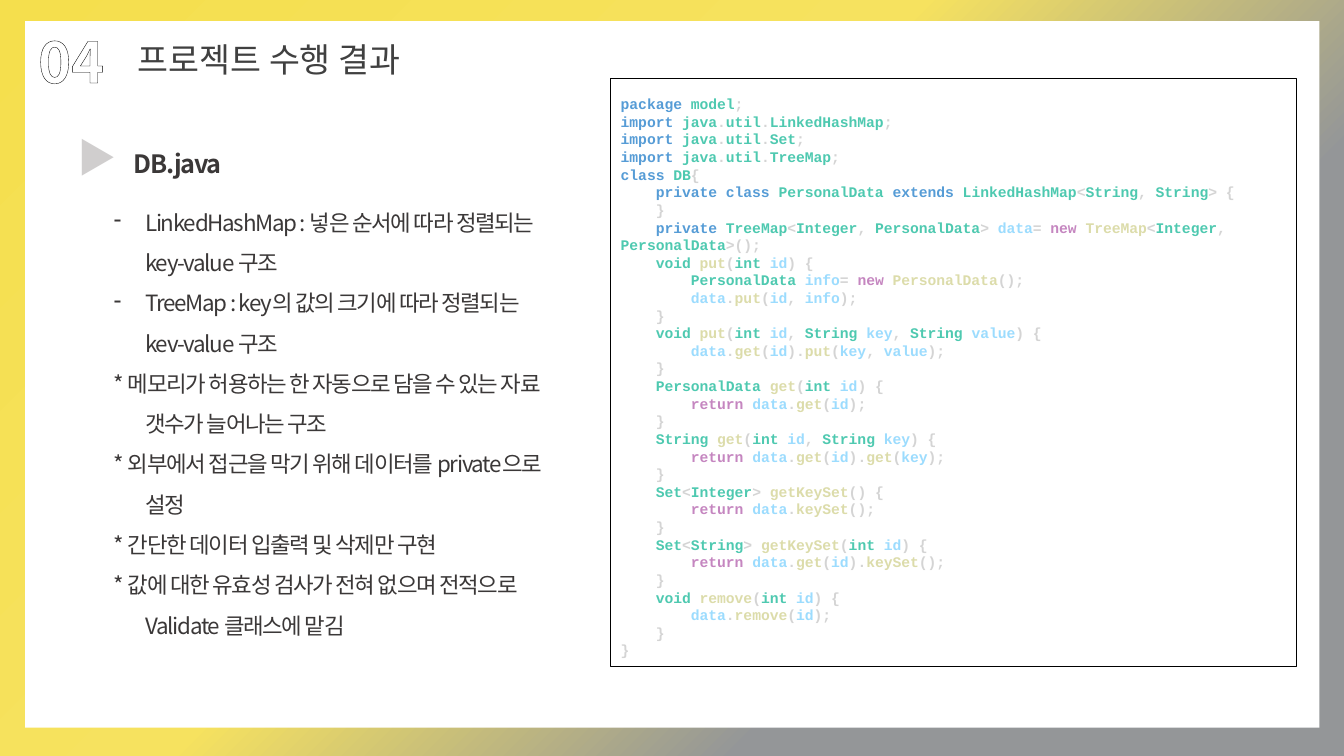
from dataclasses import dataclass
from itertools import groupby

from lxml import etree
from pptx import Presentation
from pptx.dml.color import RGBColor
from pptx.enum.dml import MSO_PATTERN
from pptx.enum.shapes import MSO_SHAPE
from pptx.enum.text import MSO_ANCHOR, PP_ALIGN
from pptx.oxml.ns import qn
from pptx.util import Pt

RECTANGLE = MSO_SHAPE.RECTANGLE
MIDDLE = MSO_ANCHOR.MIDDLE
LEFT = PP_ALIGN.LEFT
DIAGONAL = MSO_PATTERN.DARK_UPWARD_DIAGONAL

WHITE = RGBColor(0xFF, 0xFF, 0xFF)
BLACK = RGBColor(0x00, 0x00, 0x00)
DARK = RGBColor(0x3B, 0x38, 0x38)
TITLE_GRAY = RGBColor(0x40, 0x40, 0x40)
STEEL = RGBColor(0x93, 0x95, 0x97)
SILVER = RGBColor(0xD0, 0xCE, 0xCE)
CODE_PLAIN = RGBColor(0xD4, 0xD4, 0xD4)
CODE_KEYWORD = RGBColor(0x56, 0x9C, 0xD6)
CODE_TYPE = RGBColor(0x4E, 0xC9, 0xB0)
CODE_FLOW = RGBColor(0xC5, 0x86, 0xC0)
CODE_METHOD = RGBColor(0xDC, 0xDC, 0xAA)
CODE_VARIABLE = RGBColor(0x9C, 0xDC, 0xFE)
BACKGROUND_STOPS = (
    (0, RGBColor(0xF5, 0xDF, 0x4D)),
    (44, RGBColor(0xF6, 0xE2, 0x5F)),
    (71, RGBColor(0x94, 0x96, 0x98)),
    (100, STEEL),
)

KOREAN_FONT = "Noto Sans CJK KR"
CODE_FONT = "Courier New"
HANGING = Pt(22.5)

WORD_COLORS = {
    **dict.fromkeys("package import private class extends".split(), CODE_KEYWORD),
    **dict.fromkeys("new return".split(), CODE_FLOW),
    **dict.fromkeys("put get keySet getKeySet remove".split(), CODE_METHOD),
    **dict.fromkeys("data id info key value".split(), CODE_VARIABLE),
}

HEADER = (
    "package model;",
    "import java.util.LinkedHashMap;",
    "import java.util.Set;",
    "import java.util.TreeMap;",
    "class DB{",
    "    private class PersonalData extends LinkedHashMap<String, String> {",
    "    }",
    "    private TreeMap<Integer, PersonalData> data= new TreeMap<Integer, PersonalData>();",
)
METHODS = (
    ("void put(int id)", "PersonalData info= new PersonalData();", "data.put(id, info);"),
    ("void put(int id, String key, String value)", "data.get(id).put(key, value);"),
    ("PersonalData get(int id)", "return data.get(id);"),
    ("String get(int id, String key)", "return data.get(id).get(key);"),
    ("Set<Integer> getKeySet()", "return data.keySet();"),
    ("Set<String> getKeySet(int id)", "return data.get(id).keySet();"),
    ("void remove(int id)", "data.remove(id);"),
)


@dataclass
class Label:
    left: float
    top: float
    width: float
    height: float
    lines: tuple[str, ...]
    size: float
    color: RGBColor
    bold: bool = False
    wrap: bool = True
    spacing: int = 0
    line_spacing: float = 1.0
    hanging: bool = False
    dashes: int = 0
    pattern_back: RGBColor | None = None
    outline: RGBColor | None = None
    outline_width: float = 1


NOTES = (
    "LinkedHashMap : 넣은 순서에 따라 정렬되는 key-value 구조",
    "TreeMap : key의 값의 크기에 따라 정렬되는 kev-value 구조",
    "* 메모리가 허용하는 한 자동으로 담을 수 있는 자료 갯수가 늘어나는 구조",
    "* 외부에서 접근을 막기 위해 데이터를 private으로 설정",
    "* 간단한 데이터 입출력 및 삭제만 구현",
    "* 값에 대한 유효성 검사가 전혀 없으며 전적으로 Validate 클래스에 맡김",
)

LABELS = (
    Label(88.5, 102.2, 584, 87, ("DB.java",), 18, DARK, bold=True, spacing=-90),
    Label(48.2, 91.4, 39.6, 41, ("▶",), 28, STEEL, bold=True,
          pattern_back=SILVER, outline=STEEL),
    Label(20.2, 15.8, 91.4, 56.2, ("04",), 40, DARK, bold=True,
          pattern_back=WHITE, outline=BLACK, outline_width=1.25),
    Label(91.4, 24.5, 232.6, 36.7, ("프로젝트 수행 결과",), 24, TITLE_GRAY, wrap=False),
    Label(74.2, 136.1, 329, 326.9, NOTES, 16, DARK, spacing=-90,
          line_spacing=1.5, hanging=True, dashes=2),
)


def add_color(parent, color: RGBColor) -> None:
    etree.SubElement(parent, qn("a:srgbClr"), val=str(color))


def paint_background(page) -> None:
    fill = page.background.fill
    fill.gradient()
    fill.gradient_angle = 315
    stops = page.element.find(".//" + qn("a:gsLst"))
    for stop in list(stops):
        stops.remove(stop)
    for percent, color in BACKGROUND_STOPS:
        add_color(etree.SubElement(stops, qn("a:gs"), pos=str(percent * 1000)), color)


def hang(para) -> None:
    properties = para._p.get_or_add_pPr()
    properties.set("marL", str(HANGING))
    properties.set("indent", str(-HANGING))


def style_span(span, label: Label) -> None:
    font = span.font
    font.size, font.bold, font.name = Pt(label.size), label.bold, KOREAN_FONT
    if label.pattern_back is None:
        font.fill.solid()
        font.fill.fore_color.rgb = label.color
    else:
        font.fill.patterned()
        font.fill.pattern = DIAGONAL
        font.fill.fore_color.rgb = label.color
        font.fill.back_color.rgb = label.pattern_back
    properties = span._r.get_or_add_rPr()
    if label.spacing:
        properties.set("spc", str(label.spacing))
    latin = properties.find(qn("a:latin"))
    latin.addnext(etree.Element(qn("a:ea"), typeface=KOREAN_FONT))
    if label.outline is not None:
        line = etree.Element(qn("a:ln"), w=str(Pt(label.outline_width)))
        add_color(etree.SubElement(line, qn("a:solidFill")), label.outline)
        properties.insert(0, line)


def draw_label(page, label: Label) -> None:
    box = page.shapes.add_textbox(
        Pt(label.left), Pt(label.top), Pt(label.width), Pt(label.height))
    frame = box.text_frame
    frame.word_wrap = label.wrap
    frame.text = "\n".join(label.lines)
    for index, para in enumerate(frame.paragraphs):
        para.line_spacing = label.line_spacing
        if label.hanging:
            hang(para)
        if index < label.dashes:
            etree.SubElement(para._p.get_or_add_pPr(), qn("a:buChar"), char="-")
        style_span(para.runs[0], label)


def add_rectangle(page, left: float, top: float, width: float, height: float):
    box = page.shapes.add_shape(RECTANGLE, Pt(left), Pt(top), Pt(width), Pt(height))
    box.shadow.inherit = False
    return box


def code_lines() -> list[str]:
    lines = list(HEADER)
    for signature, *body in METHODS:
        lines += [f"    {signature} {{", *(f"        {step}" for step in body), "    }"]
    return lines + ["}"]


def color_code(line: str) -> list[tuple[RGBColor, str]]:
    letters: list[tuple[RGBColor, str]] = []
    color, previous = CODE_PLAIN, ""
    for is_word, group in groupby(line, str.isalnum):
        token = "".join(group)
        if is_word:
            color = WORD_COLORS.get(token, CODE_TYPE)
            if previous == "new":
                color = CODE_METHOD
            previous = token
        elif token.strip():
            color = CODE_PLAIN
        letters += [(color, letter) for letter in token]
    return [(shade, "".join(letter for _, letter in group))
            for shade, group in groupby(letters, lambda pair: pair[0])]


def draw_code(page) -> None:
    box = add_rectangle(page, 436.3, 56.2, 489.6, 419.8)
    box.fill.background()
    box.line.color.rgb = BLACK
    box.line.width = Pt(0)
    frame = box.text_frame
    frame.word_wrap = True
    frame.vertical_anchor = MIDDLE
    for index, line in enumerate(code_lines()):
        para = frame.add_paragraph() if index else frame.paragraphs[0]
        para.alignment = LEFT
        if index == 0:
            para.line_spacing = 1.5
            hang(para)
        for color, text in color_code(line):
            span = para.add_run()
            span.text = text
            span.font.size, span.font.bold, span.font.name = Pt(10.5), True, CODE_FONT
            span.font.color.rgb = color


def main() -> None:
    deck = Presentation()
    deck.slide_width, deck.slide_height = Pt(960), Pt(540)
    page = deck.slides.add_slide(deck.slide_layouts[6])
    paint_background(page)
    panel = add_rectangle(page, 18, 15.1, 924.5, 504.7)
    panel.fill.solid()
    panel.fill.fore_color.rgb = WHITE
    panel.line.fill.background()
    draw_code(page)
    for label in LABELS:
        draw_label(page, label)
    deck.save("out.pptx")


if __name__ == "__main__":
    main()
